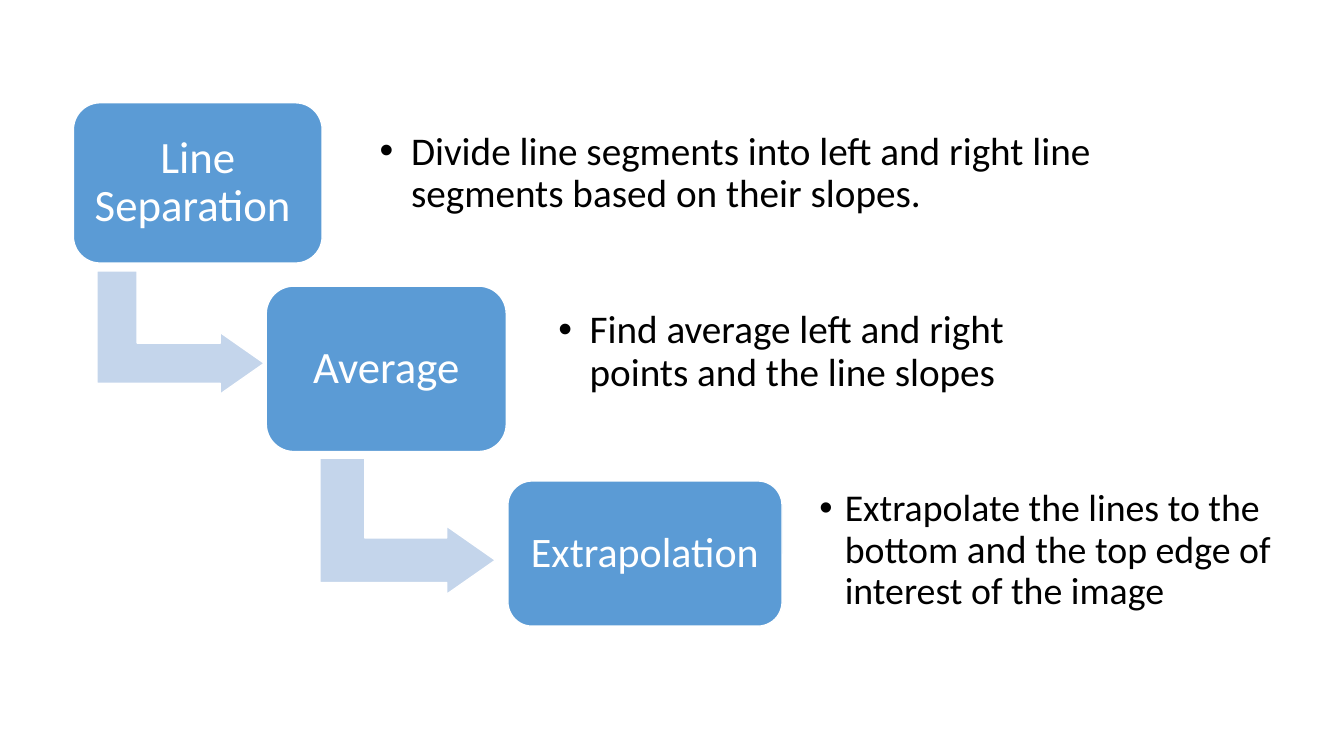
from lxml import etree
from pptx import Presentation
from pptx.dml.color import RGBColor
from pptx.enum.shapes import MSO_SHAPE
from pptx.enum.text import MSO_ANCHOR, PP_ALIGN
from pptx.oxml.ns import qn
from pptx.util import Cm, Pt

ROUND = MSO_SHAPE.ROUNDED_RECTANGLE
BENT = MSO_SHAPE.BENT_UP_ARROW
MIDDLE = MSO_ANCHOR.MIDDLE
LEFT, CENTER = PP_ALIGN.LEFT, PP_ALIGN.CENTER
COLORS = {"box": "5B9BD5", "arrow": "C4D5EB", "edge": "FFFFFF",
          "label": "FFFFFF", "note": "000000"}

deck = Presentation()
deck.slide_width, deck.slide_height = Cm(33.87), Cm(19.05)
slide = deck.slides.add_slide(deck.slide_layouts[6])


def add_shape(kind, place, fill, adjust):
    shape = slide.shapes.add_shape(kind, *map(Cm, place))
    shape.shadow.inherit = False
    shape.fill.solid()
    shape.fill.fore_color.rgb = RGBColor.from_string(COLORS[fill])
    shape.line.color.rgb = RGBColor.from_string(COLORS["edge"])
    shape.line.width = Pt(1)
    for i, value in enumerate(adjust):
        shape.adjustments[i] = value
    return shape


def write(shape, runs, color, inset, align=LEFT, indent=0):
    """Fill a shape with (text, size) runs; an indent makes a bullet."""
    frame = shape.text_frame
    frame.word_wrap = True
    frame.vertical_anchor = MIDDLE
    frame.margin_left = frame.margin_right = Cm(inset)
    frame.margin_top = frame.margin_bottom = Cm(inset)
    para = frame.paragraphs[0]
    para.alignment = align
    para.line_spacing = 0.9
    if indent:
        props = para._p.get_or_add_pPr()
        props.set("marL", str(Cm(indent)))
        props.set("indent", str(-Cm(indent)))
        etree.SubElement(props, qn("a:buFont")).set("typeface", "Arial")
        etree.SubElement(props, qn("a:buChar")).set("char", "•")
    for text, size in runs:
        run = para.add_run()
        run.text = text
        run.font.name = "Calibri"
        run.font.size = Pt(size)
        run.font.color.rgb = RGBColor.from_string(COLORS[color])


# Each arrow is placed by its frame before the quarter turn
arrows = [(3, 6.27, 3.1, 4.22), (8.56, 11.05, 3.43, 4.42)]
for place in arrows:
    arrow = add_shape(BENT, place, "arrow", (0.328, 0.25, 0.358))
    arrow.rotation = 90

# Box place, label, size, inset
steps = [
    ((1.85, 2.59, 6.27, 4.04), "Line Separation ", 32, 0.33),
    ((6.71, 7.21, 6.05, 4.17), "Average", 32, 0.33),
    ((12.8, 12.12, 6.91, 3.66), "Extrapolation", 30, 0.3),
]
for place, label, size, inset in steps:
    box = add_shape(ROUND, place, "box", (0.167,))
    write(box, [(label, size)], "label", inset, align=CENTER)

# Note place, runs, inset, bullet indent
notes = [
    ((9.19, 2.74, 19.91, 3.28),
     [("Divide line segments into left and right line segments "
       "based on their slopes.", 28)], 0.38, 0.79),
    ((13.69, 7.24, 13.21, 3.28),
     [("Find average left and right points and the line slopes", 28)],
     0.38, 0.79),
    ((20.37, 11.66, 12.52, 4.45),
     [("Extrapolate the lines to the bottom ", 27), ("and", 28),
      (" the top edge of interest of the image", 27)], 0.28, 0.64),
]
for place, runs, inset, indent in notes:
    note = slide.shapes.add_textbox(*map(Cm, place))
    write(note, runs, "note", inset, indent=indent)

deck.save("out.pptx")
